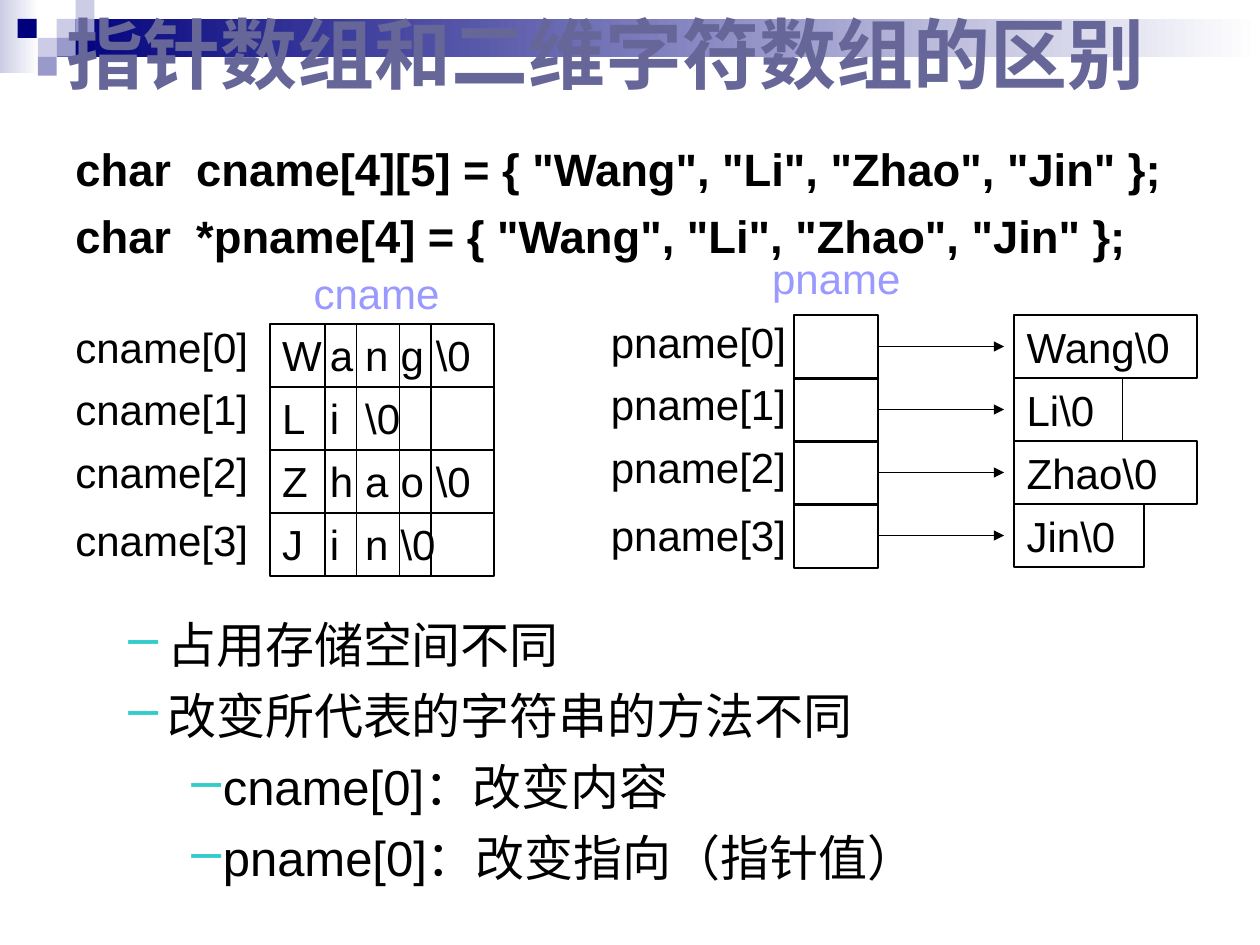
from lxml import etree
from pptx import Presentation
from pptx.dml.color import RGBColor
from pptx.enum import shapes as sh, text as tx
from pptx.oxml.ns import qn
from pptx.util import Inches, Pt

BLACK = RGBColor(0, 0, 0)
WHITE = RGBColor(0xFF, 0xFF, 0xFF)
NAVY = RGBColor(0, 0, 0x7D)
PALE = RGBColor(0xCC, 0xCC, 0xE6)
MID = RGBColor(0x99, 0x99, 0xCC)
SLATE = RGBColor(0x66, 0x66, 0x99)
LILAC = RGBColor(0x99, 0x99, 0xFF)
DASH = "33CCCC"

ROW = 0.5
NAMES = ["Wang", "Li", "Zhao", "Jin"]
WIDTHS = [1.45, 0.86, 1.45, 1.03]
LABEL_TOPS = [0, 0.49, 0.99, 1.53]
DIVIDERS = [2.58, 2.83, 3.17, 3.42]
TABS = [0.38, 0.66, 0.94, 1.22]


def add(parent, tag, **attrs):
    return etree.SubElement(parent, qn(tag), attrs)


def write(frame, lines, size=24, color=BLACK, bold=False, gap=0, spacing=None,
          align=tx.PP_ALIGN.LEFT, anchor=tx.MSO_ANCHOR.TOP, wrap=True,
          indents=None, dash=False, tabs=()):
    """Fill a frame; indents holds a (margin, first line) pair for each line."""
    frame.word_wrap = wrap
    frame.vertical_anchor = anchor
    for i, line in enumerate(lines):
        para = frame.paragraphs[0] if i == 0 else frame.add_paragraph()
        para.alignment = align
        para.space_before = Pt(gap if i else 0)
        if spacing:
            para.line_spacing = spacing
        props = para._p.get_or_add_pPr()
        if indents:
            left, first = indents[i]
            props.set("marL", str(Inches(left)))
            props.set("indent", str(Inches(first)))
        if dash:
            add(add(props, "a:buClr"), "a:srgbClr", val=DASH)
            add(props, "a:buSzPct", val="110000")
            add(props, "a:buChar", char="–")
        if tabs:
            stops = add(props, "a:tabLst")
            for pos in tabs:
                add(stops, "a:tab", pos=str(Inches(pos)), algn="l")
        run = para.add_run()
        run.text = line
        font = run.font
        font.name, font.size, font.bold = "Arial", Pt(size), bold
        font.color.rgb = color


def add_text(slide, x, y, w, h, lines, **style):
    box = slide.shapes.add_textbox(Inches(x), Inches(y), Inches(w), Inches(h))
    write(box.text_frame, lines, **style)


def add_box(slide, x, y, w, h):
    box = slide.shapes.add_shape(sh.MSO_SHAPE.RECTANGLE, Inches(x), Inches(y),
                                 Inches(w), Inches(h))
    box.shadow.inherit = False
    return box


def add_block(slide, x, y, w, h, color):
    box = add_box(slide, x, y, w, h)
    box.line.fill.background()
    box.fill.solid()
    box.fill.fore_color.rgb = color


def add_fade(slide, x, y, w, h, color):
    """Add a band that fades from the colour at its left to white."""
    box = add_box(slide, x, y, w, h)
    box.line.fill.background()
    box.fill.gradient()
    box.fill.gradient_angle = 180
    for stop, tone, pos in zip(box.fill.gradient_stops, (WHITE, color), (0, 1)):
        stop.color.rgb = tone
        stop.position = pos


def add_cell(slide, x, y, w, h, label=None, tabs=()):
    box = add_box(slide, x, y, w, h)
    box.fill.background()
    box.line.color.rgb = BLACK
    box.line.width = Pt(1)
    if label:
        write(box.text_frame, [label], tabs=tabs)


def add_line(slide, x1, y1, x2, y2, arrow=False):
    line = slide.shapes.add_connector(sh.MSO_CONNECTOR.STRAIGHT, Inches(x1),
                                      Inches(y1), Inches(x2), Inches(y2))
    line.line.color.rgb = BLACK
    line.line.width = Pt(0.75)
    if arrow:
        add(line.line._get_or_add_ln(), "a:tailEnd", type="triangle")
    add(line._element.spPr, "a:effectLst")


def add_label(slide, x, y, w, label, color=BLACK):
    add_text(slide, x, y, w, 0.46, [label], color=color, spacing=0.9,
             align=tx.PP_ALIGN.JUSTIFY, wrap=False)


def add_labels(slide, x, y, w, name):
    for i, top in enumerate(LABEL_TOPS):
        add_label(slide, x, y + top, w, f"{name}[{i}]")


def add_banner(slide):
    add_fade(slide, 0, 0, 0.31, 0.58, PALE)
    add_fade(slide, 0.45, 0.15, 9.55, 0.3, NAVY)
    for x, y, color in [(0.45, 0.15, PALE), (0.6, 0, PALE), (0.6, 0.15, MID),
                        (0.3, 0.3, PALE), (0.14, 0.15, NAVY),
                        (0.45, 0.3, MID), (0.3, 0.45, MID)]:
        add_block(slide, x, y, 0.15, 0.15, color)


def add_title(slide, label):
    title = slide.shapes.title
    title.left, title.top = Inches(0.43), Inches(0)
    title.width, title.height = Inches(8.83), Inches(0.83)
    write(title.text_frame, [label], size=44, color=SLATE, bold=True,
          anchor=tx.MSO_ANCHOR.MIDDLE)
    # Keep the title above the banner
    slide.shapes._spTree.append(title._element)


def add_grid(slide):
    """Draw the two-dimensional array, one letter to a column."""
    for i, name in enumerate(NAMES):
        y = 2.57 + i * ROW
        add_cell(slide, 2.14, y, 1.78, ROW, "\t".join([*name, "\\0"]), TABS)
        for x in DIVIDERS:
            add_line(slide, x, y, x, y + ROW)
    add_label(slide, 2.39, 2.12, 1.2, "cname", LILAC)
    add_labels(slide, 0.5, 2.55, 1.57, "cname")


def add_pointers(slide):
    """Draw the pointer array with an arrow to each string."""
    for i, (name, w) in enumerate(zip(NAMES, WIDTHS)):
        y = 2.5 + i * ROW
        add_cell(slide, 6.3, y, 0.67, 0.51)
        add_line(slide, 6.97, y + ROW / 2, 7.97, y + ROW / 2, arrow=True)
        add_cell(slide, 8.05, y, w, ROW, name + "\\0")
    add_labels(slide, 4.75, 2.51, 1.59, "pname")
    add_label(slide, 6.03, 2, 1.22, "pname", LILAC)


def main():
    prs = Presentation()
    prs.slide_width, prs.slide_height = Inches(10), Inches(7.5)
    slide = prs.slides.add_slide(prs.slide_layouts[5])
    add_banner(slide)
    outer, inner = (0.81, -0.31), (1.25, -0.25)
    add_text(slide, 0, 1.07, 10, 1.25,
             ['char  cname[4][5] = { "Wang", "Li", "Zhao", "Jin" };',
              'char  *pname[4] = { "Wang", "Li", "Zhao", "Jin" };'],
             size=25.9, bold=True, gap=7, indents=[outer] * 2)
    add_title(slide, "指针数组和二维字符数组的区别")
    add_grid(slide)
    add_pointers(slide)
    add_text(slide, 0.42, 4.83, 7.92, 2.17,
             ["占用存储空间不同", "改变所代表的字符串的方法不同",
              "cname[0]：改变内容", "pname[0]：改变指向（指针值）"],
             size=28, gap=7, indents=[outer] * 2 + [inner] * 2, dash=True)
    prs.save("out.pptx")


if __name__ == "__main__":
    main()
